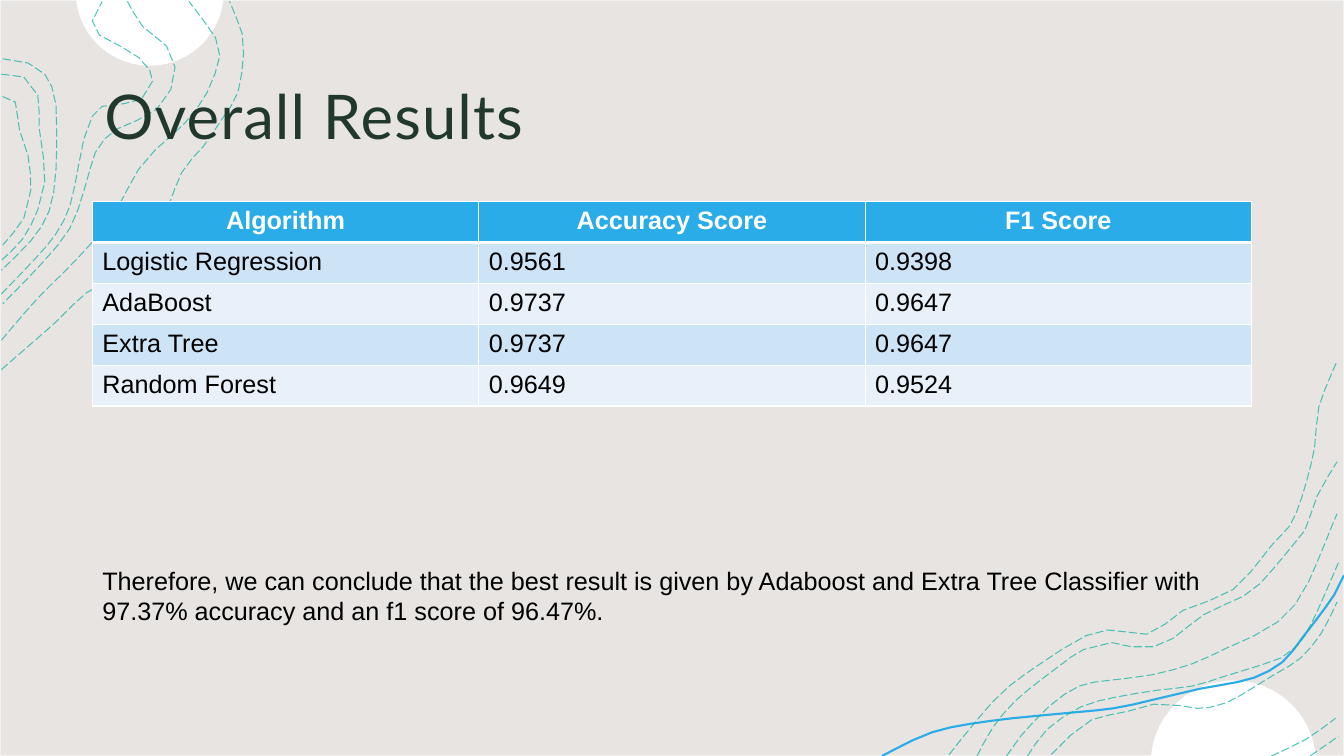
import math

import pptx
import pptx.dml.color
import pptx.enum.dml
import pptx.enum.shapes
import pptx.enum.text
import pptx.oxml
import pptx.oxml.ns
import pptx.util

Pt = pptx.util.Pt
RGBColor = pptx.dml.color.RGBColor

SAND = RGBColor(0xE8, 0xE4, 0xE2)
PALE_GREY = RGBColor(0xF2, 0xF2, 0xF2)
WHITE = RGBColor(0xFF, 0xFF, 0xFF)
BLACK = RGBColor(0, 0, 0)
TEAL = RGBColor(0x14, 0xB4, 0xA3)
BLUE = RGBColor(0x29, 0xAC, 0xE7)
DARK_GREEN = RGBColor(0x20, 0x39, 0x2C)
BAND_COLORS = (RGBColor(0xCD, 0xE3, 0xF6), RGBColor(0xE8, 0xF1, 0xFA))

SLIDE_WIDTH, SLIDE_HEIGHT = 960, 540

# Points that each contour runs through, relative to its corner box.
TOP_LEFT_CONTOURS = (
    ((1, 264), (40, 230), (62, 209), (91, 194), (102, 183), (115, 161), (130, 123), (145, 105),
     (158, 86), (170, 66), (174, 38), (173, 24), (164, 1)),
    ((1, 243), (27, 213), (53, 187), (78, 158), (99, 121), (111, 107), (132, 88), (148, 66),
     (157, 40), (154, 27), (135, 1)),
    ((91, 1), (102, 19), (119, 33), (125, 48), (122, 64), (112, 78), (98, 86), (84, 92),
     (75, 99), (68, 109), (60, 136), (50, 163), (30, 188), (2, 217)),
    ((1, 210), (25, 185), (40, 167), (50, 147), (56, 119), (60, 99), (66, 83), (73, 76),
     (89, 74), (101, 71), (109, 58), (107, 50), (99, 41), (86, 33), (71, 25), (66, 15), (73, 1)),
    ((2, 42), (20, 45), (32, 53), (37, 62), (40, 75), (40, 121), (35, 151), (22, 172), (1, 193)),
    ((1, 53), (17, 55), (27, 68), (28, 91), (31, 112), (32, 130), (27, 150), (16, 171), (1, 186)),
    ((2, 69), (11, 73), (14, 93), (20, 111), (22, 136), (17, 156), (2, 175)),
)
BOTTOM_RIGHT_CONTOURS = (
    ((78, 299), (99, 273), (121, 250), (160, 223), (176, 214), (191, 210), (201, 211),
     (219, 213), (232, 206), (245, 196), (264, 189), (281, 181), (293, 169), (308, 150),
     (321, 136), (330, 115), (339, 80), (342, 51), (355, 18)),
    ((98, 300), (109, 280), (126, 260), (155, 237), (174, 224), (194, 219), (208, 222),
     (224, 222), (238, 216), (260, 199), (288, 186), (300, 177), (319, 155), (332, 139),
     (341, 114), (355, 90)),
    ((336, 300), (356, 286)),
    ((308, 300), (333, 288), (354, 273)),
    ((151, 299), (165, 285), (180, 274), (206, 268), (224, 263), (243, 264), (255, 266),
     (276, 262), (310, 242), (329, 230), (344, 212), (355, 190)),
    ((134, 300), (148, 281), (172, 265), (197, 258), (227, 253), (252, 250), (275, 243),
     (301, 235), (315, 230), (327, 221), (338, 203), (356, 162)),
    ((119, 300), (129, 286), (150, 264), (171, 250), (192, 246), (223, 242), (252, 234),
     (276, 223), (296, 214), (313, 204), (325, 192), (335, 175), (355, 127)),
)
BLUE_RIBBON = (
    (30, 300), (66, 283), (107, 275), (155, 270), (195, 266), (223, 260), (257, 252),
    (274, 249), (296, 244), (316, 233), (330, 216), (340, 203), (353, 185), (360, 171),
)

RESULTS = (
    ("Algorithm", "Accuracy Score", "F1 Score"),
    ("Logistic Regression", "0.9561", "0.9398"),
    ("AdaBoost", "0.9737", "0.9647"),
    ("Extra Tree", "0.9737", "0.9647"),
    ("Random Forest", "0.9649", "0.9524"),
)
CONCLUSION = ("Therefore, we can conclude that the best result is given by Adaboost and Extra Tree "
              "Classifier with 97.37% accuracy and an f1 score of 96.47%.")


def smooth(points, spacing=14):
    """Return points about one spacing apart on a Catmull-Rom spline through the given ones."""
    padded = (points[0], *points, points[-1])
    curve = [points[0]]
    for a, b, c, d in zip(padded, padded[1:], padded[2:], padded[3:]):
        steps = max(1, round(math.dist(b, c) / spacing))
        for step in range(1, steps + 1):
            t = step / steps
            curve.append(tuple(
                q + t / 2 * (r - p + t * (2 * p - 5 * q + 4 * r - s + t * (3 * (q - r) + s - p)))
                for p, q, r, s in zip(a, b, c, d)))
    return curve


def add_outline(slide, left, top, points, close):
    corners = [(Pt(left + x), Pt(top + y)) for x, y in points]
    builder = slide.shapes.build_freeform(*corners[0])
    builder.add_line_segments(corners[1:], close=close)
    shape = builder.convert_to_shape()
    shape.shadow.inherit = False
    return shape


def add_curve(slide, left, top, points, color, weight):
    shape = add_outline(slide, left, top, smooth(points), close=False)
    shape.fill.background()
    shape.line.color.rgb = color
    shape.line.width = Pt(weight)
    return shape


def add_contours(slide, left, top, contours):
    for points in contours:
        line = add_curve(slide, left, top, points, TEAL, 0.75).line
        line.dash_style = pptx.enum.dml.MSO_LINE.LONG_DASH
        color = line._get_or_add_ln().find(".//" + pptx.oxml.ns.qn("a:srgbClr"))
        color.append(pptx.oxml.parse_xml(
            f'<a:alpha {pptx.oxml.ns.nsdecls("a")} val="75000"/>'))


def add_cut_disc(slide, left, top, center_x, center_y, radius, edge_y):
    """Draw the part of a white disc that lies inside a horizontal slide edge."""
    start = math.asin((edge_y - center_y) / radius)
    sweep = math.copysign(math.pi, edge_y - center_y) - 2 * start
    steps = 24
    angles = [start + sweep * step / steps for step in range(steps + 1)]
    points = [(center_x + radius * math.cos(angle), center_y + radius * math.sin(angle))
              for angle in angles]
    shape = add_outline(slide, left, top, points, close=True)
    shape.fill.solid()
    shape.fill.fore_color.rgb = WHITE
    shape.line.fill.background()


def add_backdrop(slide, left, top, width, height):
    shape = slide.shapes.add_shape(pptx.enum.shapes.MSO_SHAPE.RECTANGLE,
                                   Pt(left), Pt(top), Pt(width), Pt(height))
    shape.shadow.inherit = False
    shape.fill.solid()
    shape.fill.fore_color.rgb = SAND
    shape.line.color.rgb = PALE_GREY
    shape.line.width = Pt(1)

    corner_left, corner_top = left + width - 360, top + height - 300
    add_cut_disc(slide, left, top, 107, -6, 53, 0)
    add_cut_disc(slide, corner_left, corner_top, 281, 305, 59, 300)
    add_curve(slide, corner_left, corner_top, BLUE_RIBBON, BLUE, 1.5)
    add_contours(slide, left, top, TOP_LEFT_CONTOURS)
    add_contours(slide, corner_left, corner_top, BOTTOM_RIGHT_CONTOURS)


def add_run(paragraph, text, font, size, color, bold=False):
    run = paragraph.add_run()
    run.text = text
    run.font.name, run.font.size, run.font.bold = font, Pt(size), bold
    run.font.color.rgb = color
    return run


def add_text_frame(slide, left, top, width, height):
    frame = slide.shapes.add_textbox(Pt(left), Pt(top), Pt(width), Pt(height)).text_frame
    frame.word_wrap = True
    return frame


def add_title(slide, left, top, width, height):
    frame = add_text_frame(slide, left, top, width, height)
    frame.vertical_anchor = pptx.enum.text.MSO_ANCHOR.MIDDLE
    frame.margin_left = frame.margin_right = frame.margin_top = Pt(8.64)
    frame.margin_bottom = Pt(7.2)
    run = add_run(frame.paragraphs[0], "Overall Results", "Lato", 44, DARK_GREEN)
    run.font._element.set("spc", "80")


def add_borders(cell, weights):
    properties = cell._tc.get_or_add_tcPr()
    for side, weight in zip("LRTB", weights):
        properties.append(pptx.oxml.parse_xml(
            f'<a:ln{side} {pptx.oxml.ns.nsdecls("a")} w="{Pt(weight)}"><a:solidFill>'
            f'<a:srgbClr val="{WHITE}"/></a:solidFill></a:ln{side}>'))


def add_results_table(slide, left, top, width, height):
    table = slide.shapes.add_table(len(RESULTS), len(RESULTS[0]), Pt(left), Pt(top),
                                   Pt(width), Pt(height)).table
    for row_index, values in enumerate(RESULTS):
        header = row_index == 0
        for column_index, value in enumerate(values):
            cell = table.cell(row_index, column_index)
            add_borders(cell, (1, 1, 3 if row_index == 1 else 1, 3 if header else 1))
            cell.fill.solid()
            cell.fill.fore_color.rgb = BLUE if header else BAND_COLORS[(row_index - 1) % 2]
            paragraph = cell.text_frame.paragraphs[0]
            if header:
                paragraph.alignment = pptx.enum.text.PP_ALIGN.CENTER
            add_run(paragraph, value, "Arial", 18, WHITE if header else BLACK, header)


def add_conclusion(slide, left, top, width, height):
    frame = add_text_frame(slide, left, top, width, height)
    add_run(frame.paragraphs[0], CONCLUSION, "Arial", 18, BLACK)


def main():
    presentation = pptx.Presentation()
    presentation.slide_width, presentation.slide_height = Pt(SLIDE_WIDTH), Pt(SLIDE_HEIGHT)
    slide = presentation.slides.add_slide(presentation.slide_layouts[6])
    margin = 66
    content_width = SLIDE_WIDTH - 2 * margin
    add_backdrop(slide, 0, 0, SLIDE_WIDTH, SLIDE_HEIGHT)
    add_title(slide, margin, 29, content_width, 104)
    add_results_table(slide, margin, 144, content_width, 146)
    add_conclusion(slide, margin, 400, content_width, 51)
    presentation.save("out.pptx")


if __name__ == "__main__":
    main()
